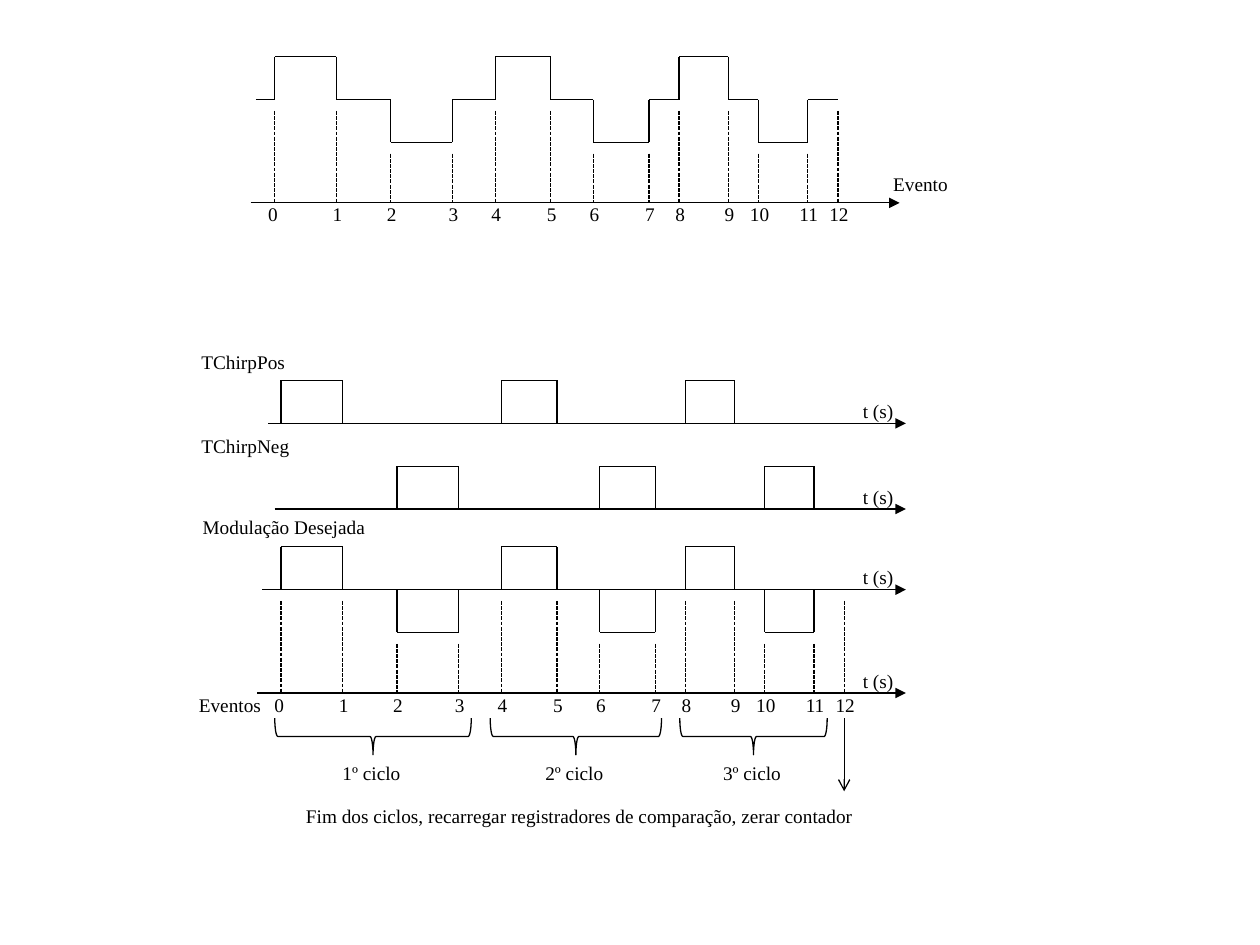
import itertools

import pptx
import pptx.dml.color
import pptx.enum.dml
import pptx.enum.shapes
import pptx.oxml
import pptx.oxml.ns
import pptx.util
from pptx.util import Inches

BLACK = pptx.dml.color.RGBColor(0, 0, 0)
FONT = "Times New Roman"
STEP = 0.34  # height of a pulse
ROW = 0.29  # height of a text line
DROP = 0.82  # from the signal's zero level to the event axis
END = 4.96  # arrow tip, from event 0
# Event times, from event 0
EVENTS = [0, 0.49, 0.92, 1.41, 1.75, 2.19, 2.53, 2.97,
          3.21, 3.6, 3.84, 4.23, 4.47]


def line(shapes, start, end, dash=None, head=None):
    ends = [Inches(v) for v in (*start, *end)]
    link = shapes.add_connector(pptx.enum.shapes.MSO_CONNECTOR.STRAIGHT, *ends)
    link.line.color.rgb = BLACK
    link.line.width = pptx.util.Pt(0.75)
    if dash:
        link.line.dash_style = dash
    if head:
        tip = pptx.oxml.ns.qn("a:tailEnd")
        link.line._get_or_add_ln().makeelement(tip)
        link.line._get_or_add_ln().append(
            link.line._get_or_add_ln().makeelement(tip, {"type": head}))
    props = link._element.spPr
    props.append(props.makeelement(pptx.oxml.ns.qn("a:effectLst")))


def trace(shapes, points):
    """Join the points with straight lines."""
    for start, end in itertools.pairwise(points):
        line(shapes, start, end)


def label(shapes, x, y, width, text, stops=()):
    """Place one line of text, with centred tabs at the given stops."""
    box = shapes.add_textbox(*[Inches(v) for v in (x, y, width, ROW)])
    frame = box.text_frame
    frame.word_wrap = bool(stops)
    frame.text = text
    para = frame.paragraphs[0]
    if stops:
        props = para._p.get_or_add_pPr()
        tabs = props.makeelement(pptx.oxml.ns.qn("a:tabLst"))
        for stop in stops:
            tabs.append(tabs.makeelement(
                pptx.oxml.ns.qn("a:tab"),
                {"pos": str(Inches(stop)), "algn": "ctr"}))
        props.append(tabs)
    para.font.name = FONT
    para.font.size = pptx.util.Pt(11)
    para.font.color.rgb = BLACK


def axis(shapes, x, y, start):
    line(shapes, (x + start, y), (x + END, y), head="triangle")


def wave(shapes, x, y):
    """Draw the three-level signal above its numbered event axis.

    x is event 0 and y the zero level.
    """
    points = [(x - 0.15, y)]
    level = y
    for i, time in enumerate(EVENTS):
        points.append((x + time, level))
        if i < len(EVENTS) - 1:
            level = y - (STEP, 0, -STEP, 0)[i % 4]
            points.append((x + time, level))
    trace(shapes, points)

    base = y + DROP
    axis(shapes, x, base, -0.19)
    for i, time in enumerate(EVENTS):
        low = STEP if i % 4 > 1 else 0
        line(shapes, (x + time, y + low + 0.09), (x + time, base),
             dash=pptx.enum.dml.MSO_LINE.SQUARE_DOT)
    text = "\t".join(str(i) for i in range(len(EVENTS)))
    stops = [time + 0.06 for time in EVENTS[1:]]
    label(shapes, x - 0.15, base - 0.05, 4.95, text, stops)


def pulses(shapes, x, y, first, start):
    """Draw every fourth interval, from the first, as a pulse on an axis."""
    axis(shapes, x, y, start)
    for i in range(first, len(EVENTS) - 1, 4):
        left, right = x + EVENTS[i], x + EVENTS[i + 1]
        trace(shapes, [(left, y), (left, y - STEP),
                       (right, y - STEP), (right, y)])


def cycle(shapes, mid, y, span, text):
    """Draw a brace of the given span, opening upwards, and its caption."""
    brace = shapes.add_shape(
        pptx.enum.shapes.MSO_SHAPE.RIGHT_BRACE,
        Inches(mid - ROW / 2), Inches(y + (ROW - span) / 2),
        Inches(ROW), Inches(span))
    brace.rotation = 90
    brace.shadow.inherit = False
    brace.fill.background()
    brace.line.color.rgb = BLACK
    brace.line.width = pptx.util.Pt(0.75)
    label(shapes, mid - 0.34, y + ROW, 0.66, text)


def events(shapes, x, y):
    wave(shapes, x, y)
    label(shapes, x + 4.81, y + 0.53, 0.64, "Evento")


def timing(shapes, x, y):
    """Draw the stacked signals; x is event 0 and y the top of the titles."""
    pos, neg, zero = y + 0.63, y + 1.31, y + 1.95
    base = zero + DROP
    pulses(shapes, x, pos, 0, -0.1)
    pulses(shapes, x, neg, 2, -0.05)
    wave(shapes, x, zero)
    axis(shapes, x, zero, -0.05)
    for level in (pos, neg, zero, base):
        label(shapes, x + 4.52, level - 0.24, 0.44, "t (s)")

    label(shapes, x - 0.73, y, 0.87, "TChirpPos")
    label(shapes, x - 0.73, y + 0.67, 0.9, "TChirpNeg")
    label(shapes, x - 0.72, y + 1.31, 1.5, "Modulação Desejada")
    label(shapes, x - 0.75, base - 0.05, 0.7, "Eventos")

    for i, (mid, span) in enumerate([(0.73, 1.56), (2.34, 1.36),
                                     (3.75, 1.17)], 1):
        cycle(shapes, x + mid, base + 0.2, span, f"{i}º ciclo")
    last = x + EVENTS[-1]
    line(shapes, (last, base + 0.2), (last, base + 0.78), head="arrow")
    label(shapes, x + 0.1, base + 0.83, 4.55,
          "Fim dos ciclos, recarregar registradores de comparação, "
          "zerar contador")


def main():
    deck = pptx.Presentation()
    deck.slide_width, deck.slide_height = Inches(10), Inches(7.5)
    slide = deck.slides.add_slide(deck.slide_layouts[6])
    events(slide.shapes.add_group_shape().shapes, 2.18, 0.79)
    timing(slide.shapes.add_group_shape().shapes, 2.23, 2.73)
    deck.save("out.pptx")


if __name__ == "__main__":
    main()
